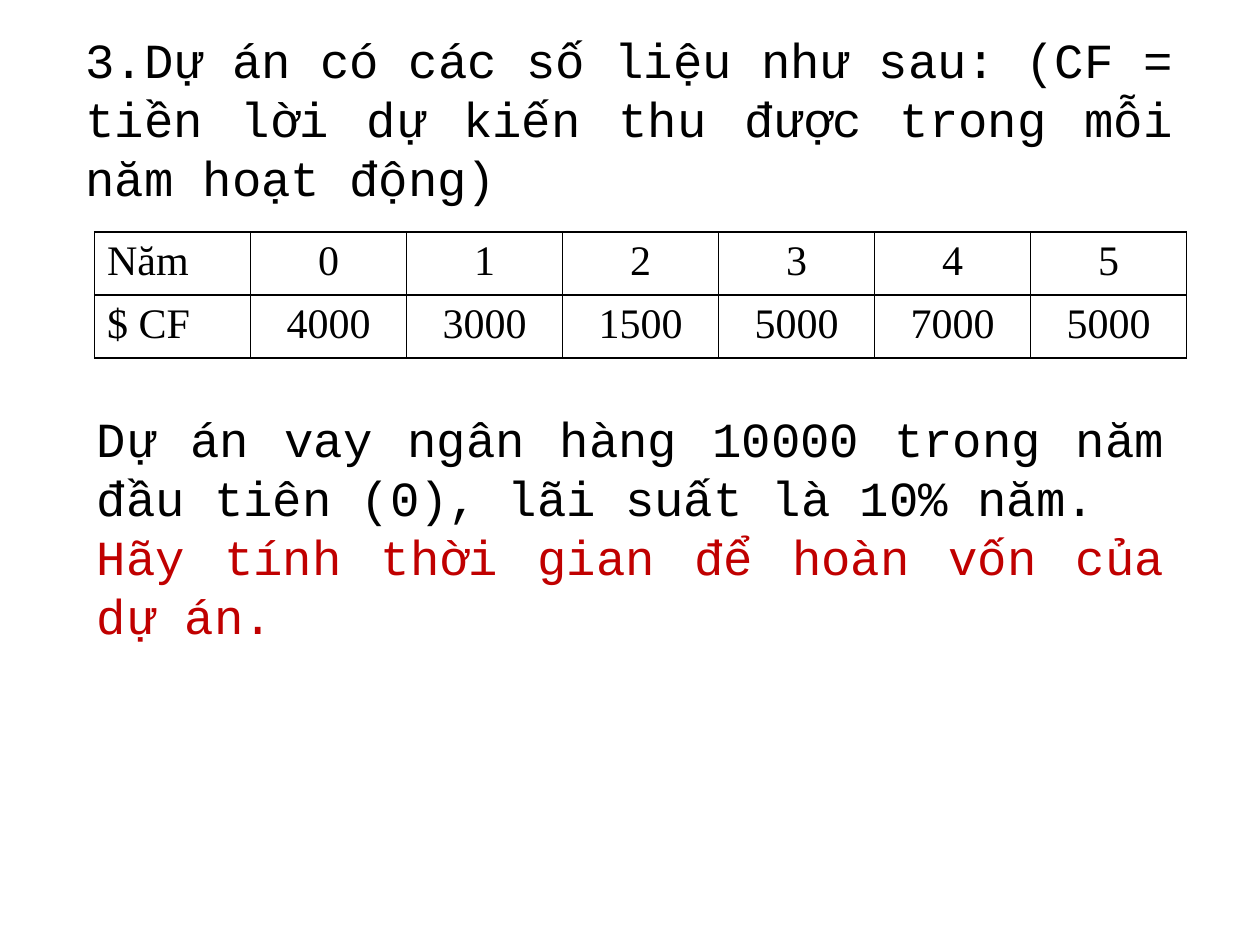
from dataclasses import dataclass

from lxml import etree
from pptx import Presentation
from pptx.dml.color import RGBColor
from pptx.enum.text import MSO_ANCHOR, PP_ALIGN
from pptx.oxml.ns import qn
from pptx.util import Inches, Pt

MIDDLE = MSO_ANCHOR.MIDDLE
LEFT, CENTER, JUSTIFY = PP_ALIGN.LEFT, PP_ALIGN.CENTER, PP_ALIGN.JUSTIFY


@dataclass(frozen=True)
class Theme:
    ink: str = "000000"
    accent: str = "C00000"
    body_font: str = "Courier New"
    body_size: int = 28
    table_font: str = "Times New Roman"
    table_size: int = 24
    border: int = 1


class Deck:
    def __init__(self, theme):
        self.theme = theme
        self.prs = Presentation()
        self.prs.slide_width = Inches(10)
        self.prs.slide_height = Inches(7.5)
        self.slide = self.prs.slides.add_slide(self.prs.slide_layouts[6])

    def style(self, para, font, size, color, align):
        para.alignment = align
        for run in para.runs:
            run.font.name = font
            run.font.size = Pt(size)
            run.font.color.rgb = RGBColor.from_string(color)

    def text(self, left, top, width, height, lines):
        """Add a justified text box from (text, colour) pairs."""
        box = self.slide.shapes.add_textbox(
            Inches(left), Inches(top), Inches(width), Inches(height))
        frame = box.text_frame
        frame.word_wrap = True
        frame.vertical_anchor = MIDDLE
        frame.text = "\n".join(words for words, _ in lines)
        for para, (_, color) in zip(frame.paragraphs, lines):
            self.style(para, self.theme.body_font, self.theme.body_size,
                       color, JUSTIFY)

    def outline(self, cell):
        props = cell._tc.get_or_add_tcPr()
        for side in ("lnL", "lnR", "lnT", "lnB"):
            line = etree.SubElement(props, qn(f"a:{side}"),
                                    w=str(Pt(self.theme.border)))
            fill = etree.SubElement(line, qn("a:solidFill"))
            etree.SubElement(fill, qn("a:srgbClr"), val=self.theme.ink)

    def table(self, left, top, width, height, rows):
        grid = self.slide.shapes.add_table(
            len(rows), len(rows[0]), Inches(left), Inches(top),
            Inches(width), Inches(height)).table
        grid.first_row = grid.horz_banding = False
        for r, row in enumerate(rows):
            for c, value in enumerate(row):
                cell = grid.cell(r, c)
                self.outline(cell)
                cell.fill.background()
                cell.text_frame.text = value
                self.style(cell.text_frame.paragraphs[0],
                           self.theme.table_font, self.theme.table_size,
                           self.theme.ink, CENTER if c else LEFT)


def main():
    theme = Theme()
    deck = Deck(theme)
    deck.text(0.58, 0.42, 8.83, 1.03, [
        ("3.Dự án có các số liệu như sau: (CF = tiền lời dự kiến thu được "
         "trong mỗi năm hoạt động)", theme.ink)])
    deck.table(0.75, 1.84, 8.67, 1, [
        ["Năm", "0", "1", "2", "3", "4", "5"],
        ["$ CF", "4000", "3000", "1500", "5000", "7000", "5000"]])
    deck.text(0.67, 3.43, 8.67, 1.5, [
        ("Dự án vay ngân hàng 10000 trong năm đầu tiên (0), "
         "lãi suất là 10% năm.", theme.ink),
        ("Hãy tính thời gian để hoàn vốn của dự án.", theme.accent)])
    deck.prs.save("out.pptx")


if __name__ == "__main__":
    main()
